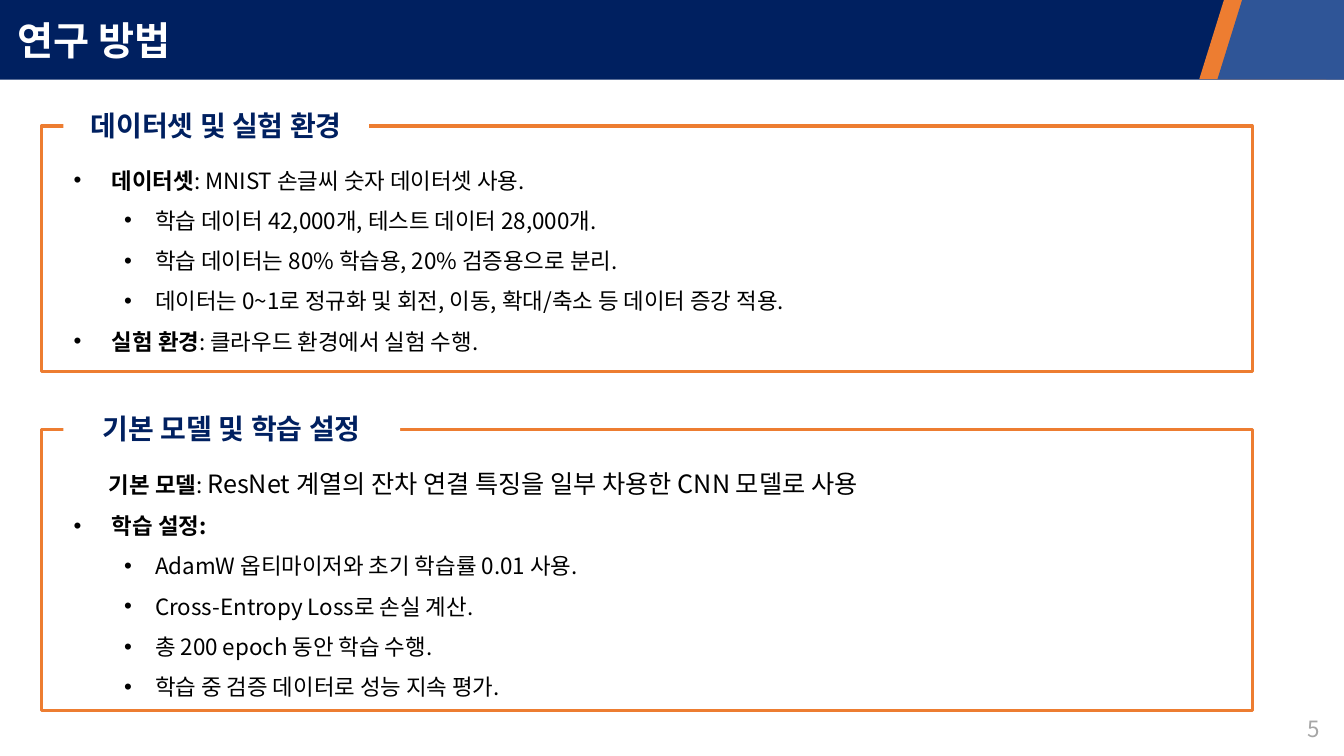
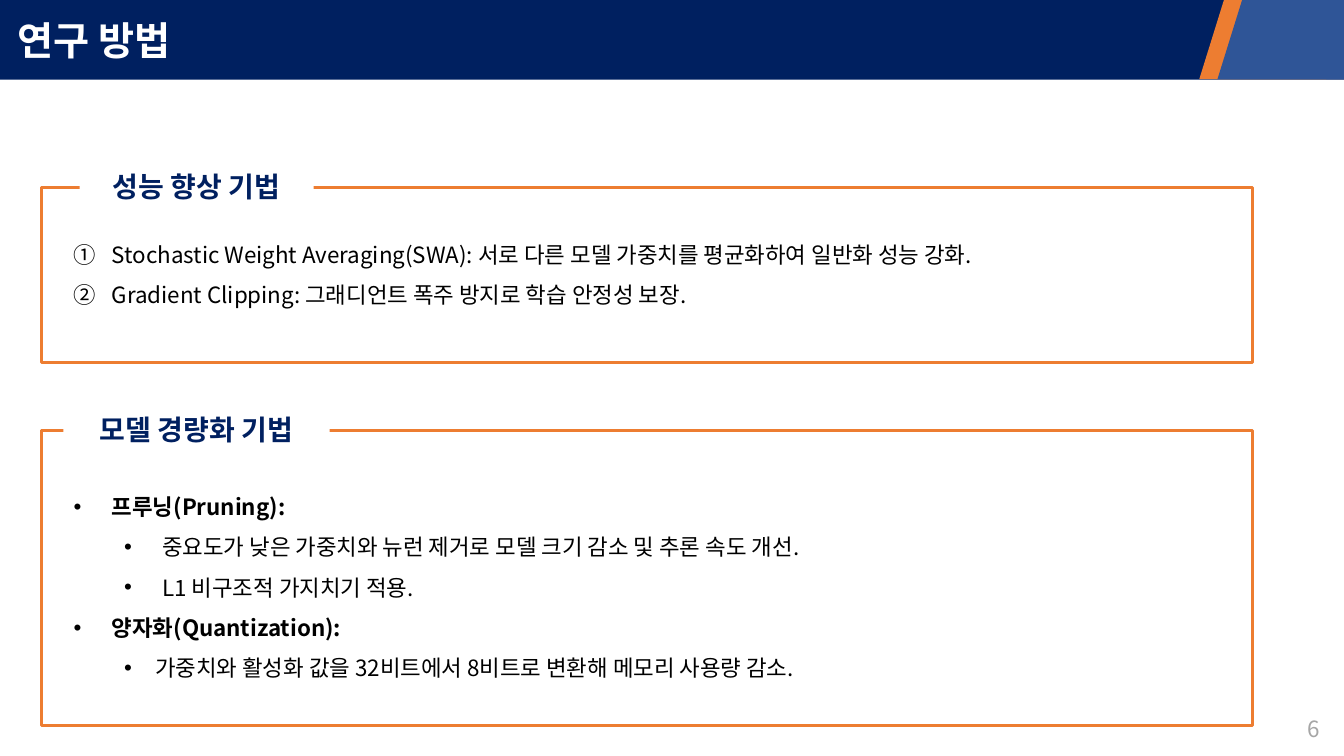
"""Build two research method slides with framed sections."""
from dataclasses import dataclass

from lxml import etree
from pptx import Presentation
from pptx.dml.color import RGBColor
from pptx.enum.shapes import MSO_SHAPE
from pptx.enum.text import MSO_ANCHOR, MSO_AUTO_SIZE, PP_ALIGN
from pptx.oxml.ns import qn
from pptx.util import Inches, Pt

RECT = MSO_SHAPE.RECTANGLE
SLANT = MSO_SHAPE.FLOWCHART_MANUAL_INPUT
LEFT, CENTER = PP_ALIGN.LEFT, PP_ALIGN.CENTER
TOP, MIDDLE = MSO_ANCHOR.TOP, MSO_ANCHOR.MIDDLE
FIXED = MSO_AUTO_SIZE.NONE


@dataclass(frozen=True)
class Theme:
    """Colours, font and type sizes."""
    font: str = "Noto Sans CJK KR"
    navy: str = "002060"
    blue: str = "2F5597"
    orange: str = "ED7D31"
    white: str = "FFFFFF"
    black: str = "000000"
    grey: str = "A6A6A6"
    title: int = 28
    head: int = 20
    lead: int = 18
    body: int = 16
    line: float = 2.25


T = Theme()
DOT = ("buChar", {"char": "•"})
NUM = ("buAutoNum", {"type": "circleNumDbPlain"})
NONE = ("buNone", {})

KINDS = {
    "top": (0, 0.38, -0.38, 1.5, DOT),
    "sub": (1, 0.81, -0.31, 1.5, DOT),
    "wide": (1, 0.88, -0.38, 1.5, DOT),
    "num": (0, 0.38, -0.38, 1.5, NUM),
    "plain": (0, 0.35, 0, 1.4, NONE),
}

TITLE = "연구 방법"
SLIDES = [
    (5, [
        {"head": "데이터셋 및 실험 환경", "label": (0.63, 3.03),
         "frame": (1.25, 2.44), "body": (1.47, 2.12), "rows": [
             ("top", "데이터셋", ": MNIST 손글씨 숫자 데이터셋 사용."),
             ("sub", "", "학습 데이터 42,000개, 테스트 데이터 28,000개."),
             ("sub", "", "학습 데이터는 80% 학습용, 20% 검증용으로 분리."),
             ("sub", "", "데이터는 0~1로 정규화 및 회전, 이동, 확대/축소 등 데이터 증강 적용."),
             ("top", "실험 환경", ": 클라우드 환경에서 실험 수행.")]},
        {"head": "기본 모델 및 학습 설정", "label": (0.63, 3.34),
         "frame": (4.26, 2.79), "body": (4.48, 2.93), "rows": [
             ("plain", "기본 모델", ": ",
              "ResNet 계열의 잔차 연결 특징을 일부 차용한 CNN 모델로 사용"),
             ("top", "학습 설정:"),
             ("sub", "", "AdamW 옵티마이저와 초기 학습률 0.01 사용."),
             ("sub", "", "Cross-Entropy Loss로 손실 계산."),
             ("sub", "", "총 200 epoch 동안 학습 수행."),
             ("sub", "", "학습 중 검증 데이터로 성능 지속 평가.")]},
    ]),
    (6, [
        {"head": "성능 향상 기법", "label": (0.79, 2.32),
         "frame": (1.86, 1.74), "body": (2.21, 0.86), "rows": [
             ("num", "", "Stochastic Weight Averaging(SWA): "
              "서로 다른 모델 가중치를 평균화하여 일반화 성능 강화."),
             ("num", "", "Gradient Clipping: 그래디언트 폭주 방지로 학습 안정성 보장.")]},
        {"head": "모델 경량화 기법", "label": (0.63, 2.64),
         "frame": (4.27, 2.93), "body": (4.71, 2.47), "rows": [
             ("top", "프루닝(Pruning):"),
             ("wide", "", "중요도가 낮은 가중치와 뉴런 제거로 모델 크기 감소 및 추론 속도 개선."),
             ("wide", "", "L1 비구조적 가지치기 적용."),
             ("top", "양자화(Quantization):"),
             ("sub", "", "가중치와 활성화 값을 32비트에서 8비트로 변환해 메모리 사용량 감소.")]},
    ]),
]


def color(code):
    return RGBColor.from_string(code)


def place(shape, *box):
    shape.left, shape.top, shape.width, shape.height = map(Inches, box)


def write(para, text, size, tone, bold=False):
    run = para.add_run()
    run.text = text
    font = run.font
    font.name, font.size, font.bold = T.font, Pt(size), bold
    font.color.rgb = color(tone)
    etree.SubElement(font._element, qn("a:ea"), typeface=T.font)


def setup(frame, anchor, wrap=True):
    frame.auto_size = FIXED
    frame.word_wrap = wrap
    frame.vertical_anchor = anchor
    return frame.paragraphs[0]


def draw(slide, kind, box, fill=None, line=None):
    shape = slide.shapes.add_shape(kind, *map(Inches, box))
    shape.shadow.inherit = False
    if fill:
        shape.fill.solid()
        shape.fill.fore_color.rgb = color(fill)
    else:
        shape.fill.background()
    if line:
        shape.line.color.rgb = color(line)
        shape.line.width = Pt(T.line)
    else:
        shape.line.fill.background()
    return shape


def add_band(slide, layout):
    parts = [draw(slide, RECT, (0, -0.02, 13.33, 0.81), T.navy)]
    for left, tone in ((12.12, T.orange), (12.3, T.blue)):
        slant = draw(slide, SLANT, (left, -0.25, 0.81, 1.26), tone)
        slant.rotation = 90
        slant.element.spPr.find(qn("a:xfrm")).set("flipV", "1")
        parts.append(slant)
    tree = layout.shapes.element
    for spot, part in enumerate(parts, 2):
        tree.insert(spot, part.element)


def add_row(para, row):
    kind, strong, *rest = row
    level, left, hang, space, (tag, attrs) = KINDS[kind]
    para.level = level
    para.alignment = LEFT
    para.line_spacing = space
    para.space_before = para.space_after = Pt(0)
    props = para._p.get_or_add_pPr()
    props.set("marL", str(Inches(left)))
    props.set("indent", str(Inches(hang)))
    if tag == "buChar":
        etree.SubElement(props, qn("a:buFont"), typeface="Arial")
    etree.SubElement(props, qn("a:" + tag), attrs)
    if strong:
        write(para, strong, T.body, T.black, True)
    for spot, text in enumerate(rest):
        write(para, text, T.lead if spot else T.body, T.black)


def add_part(slide, body, part):
    top, high = part["body"]
    place(body, 0.63, top, 10.99, high)
    para = setup(body.text_frame, TOP)
    for spot, row in enumerate(part["rows"]):
        add_row(body.text_frame.add_paragraph() if spot else para, row)
    top, high = part["frame"]
    draw(slide, RECT, (0.41, top, 12.01, high), line=T.orange)
    left, wide = part["label"]
    label = draw(slide, RECT, (left, top - 0.23, wide, 0.44), T.white)
    para = setup(label.text_frame, MIDDLE)
    para.alignment = CENTER
    write(para, part["head"], T.head, T.navy, True)


def add_slide(deck, layout, page, parts):
    slide = deck.slides.add_slide(layout)
    title, *bodies = slide.placeholders
    place(title, 0.07, 0.11, 6.67, 0.57)
    para = setup(title.text_frame, MIDDLE)
    para.alignment = LEFT
    write(para, TITLE, T.title, T.white, True)
    for body, part in zip(bodies, parts):
        add_part(slide, body, part)
    box = slide.shapes.add_textbox(*map(Inches, (12.87, 7.05, 0.35, 0.4)))
    write(setup(box.text_frame, TOP, False), str(page), T.body, T.grey)
    return slide


def main():
    deck = Presentation()
    deck.slide_width, deck.slide_height = Inches(13.33), Inches(7.5)
    layout = deck.slide_layouts[3]
    slides = [add_slide(deck, layout, *item) for item in SLIDES]
    add_band(slides[0], layout)
    deck.save("out.pptx")


if __name__ == "__main__":
    main()
